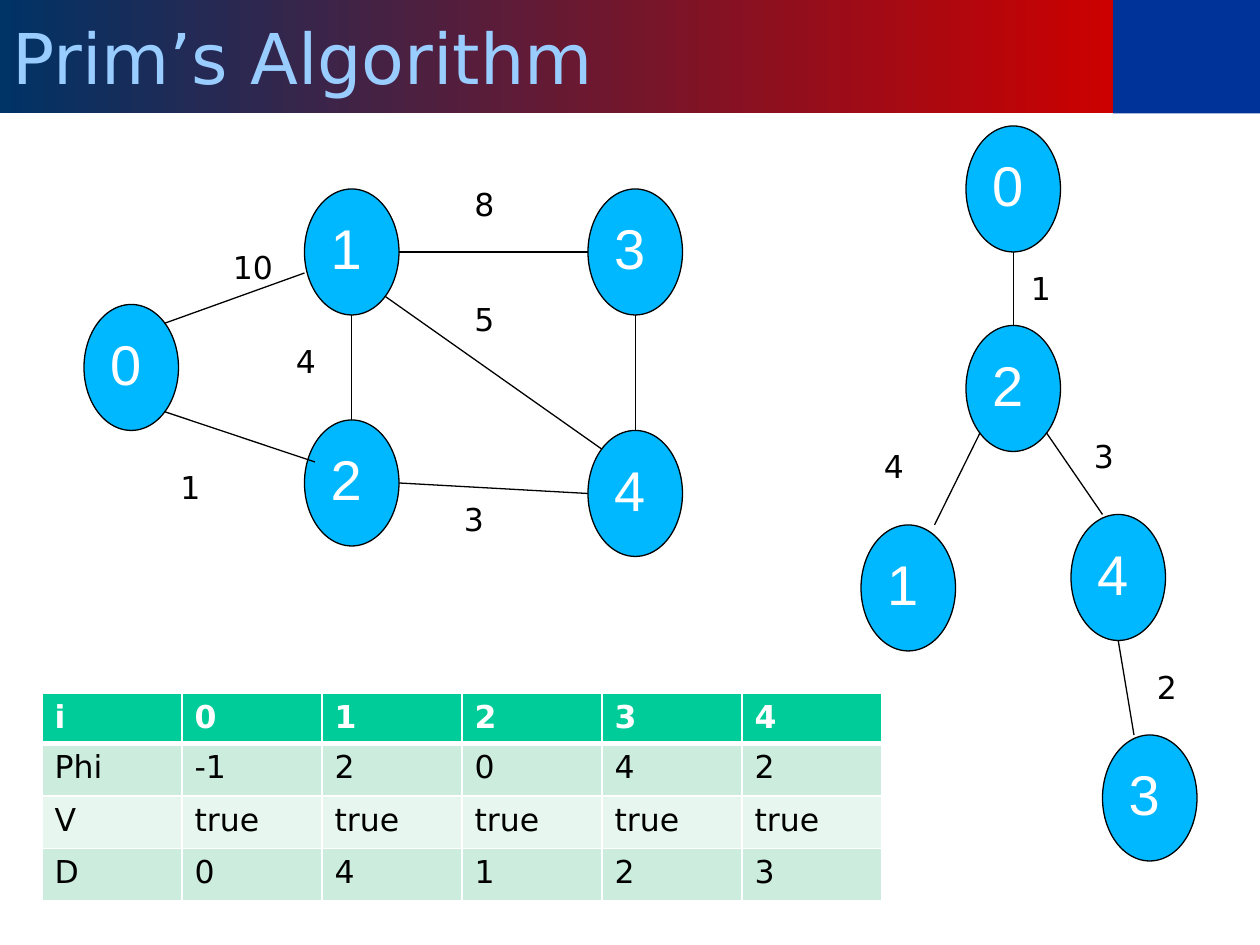
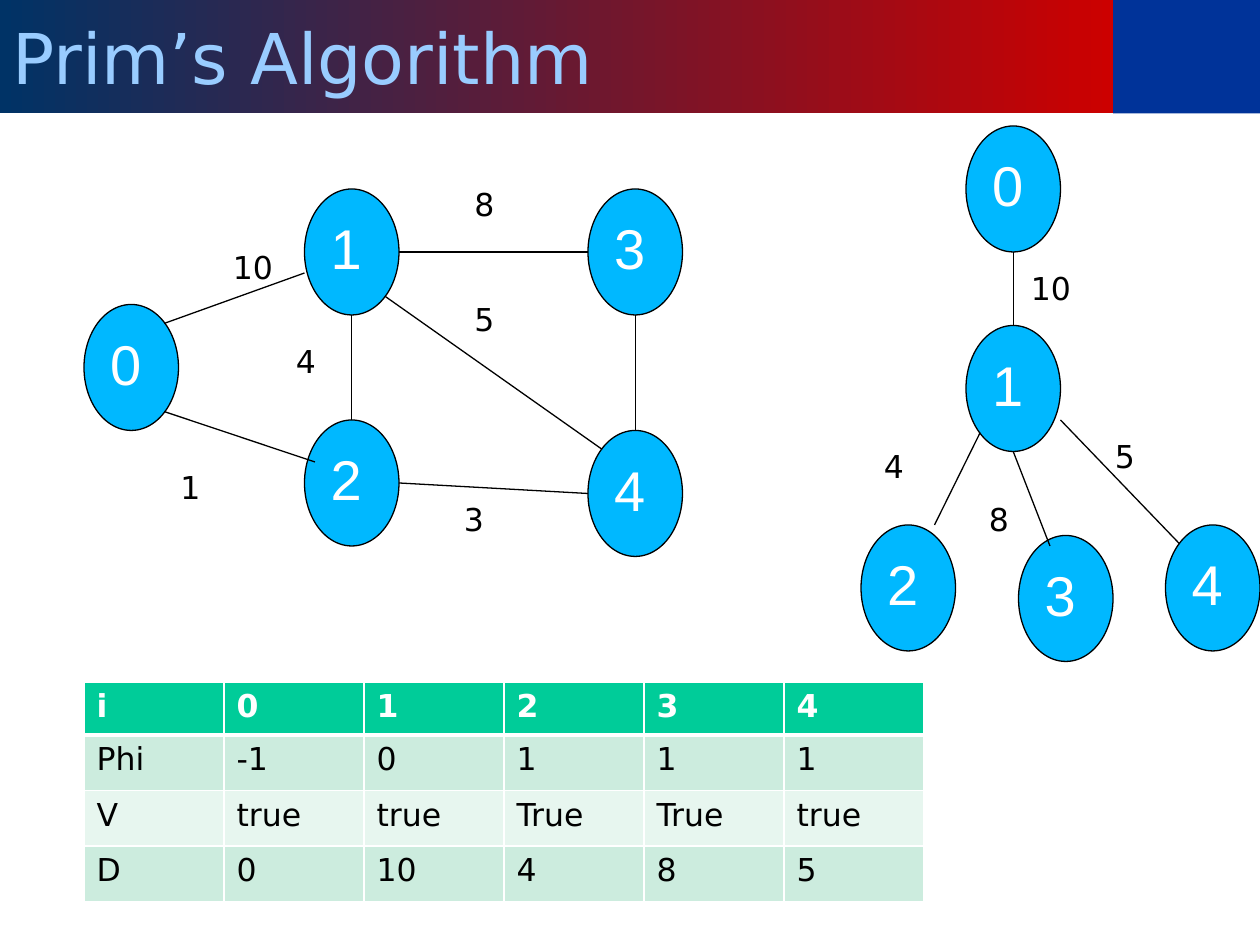
from lxml import etree
from pptx import Presentation
from pptx.dml.color import RGBColor
from pptx.enum.shapes import MSO_CONNECTOR, MSO_SHAPE
from pptx.enum.text import MSO_ANCHOR, PP_ALIGN
from pptx.oxml.ns import qn
from pptx.util import Inches, Pt

STRAIGHT = MSO_CONNECTOR.STRAIGHT
RECTANGLE, ELLIPSE = MSO_SHAPE.RECTANGLE, MSO_SHAPE.OVAL
TOP, MIDDLE = MSO_ANCHOR.TOP, MSO_ANCHOR.MIDDLE
LEFT = PP_ALIGN.LEFT

COLORS = {
    "white": "FFFFFF", "black": "000000", "corner": "003399",
    "band_start": "003366", "band_end": "CC0000", "title": "99CCFF",
    "node": "00B8FF", "header": "00CC99", "odd": "CCECDE", "even": "E7F6EF",
}
BODY_FONT, NODE_FONT = "DejaVu Sans", "Arial"
COLUMNS, ROWS = 120, 90
BAND_COLUMNS, BAND_ROWS = 106, 10.8
NODE_COLUMNS, NODE_ROWS = 9, 12
NARROW, WIDE = 4.3, 6.2
LABEL_ROWS = 4.8
TABLE_COLUMNS = 80

NEAR, MID, FAR = 0.15, 0.5, 0.85
SITES = {
    "n": (MID, 0), "s": (MID, 1), "w": (0, MID), "e": (1, MID),
    "nw": (NEAR, NEAR), "ne": (FAR, NEAR), "sw": (NEAR, FAR), "se": (FAR, FAR),
}

GRAPH = {
    "nodes": {"4": (56, 41), "3": (56, 18), "2": (29, 40), "1": (29, 18), "0": (8, 29)},
    "edges": [
        ("0 ne", (29, 26)), ("0 se", (30, 44)), ("1 s", "2 n"), ("1 se", "4 nw"),
        ("1 e", "3 w"), ("2 e", "4 w"), ("3 s", "4 n"),
    ],
    "labels": [
        ("10", 21, 23, WIDE), ("4", 27, 32, NARROW), ("5", 44, 28, WIDE),
        ("3", 43, 47, NARROW), ("1", 16, 44, NARROW), ("8", 44, 17, WIDE),
    ],
}
STEPS = [
    {
        "tree": {
            "nodes": {"0": (92, 12), "2": (92, 31), "1": (82, 50), "4": (102, 49), "3": (105, 70)},
            "edges": [("0 s", "2 n"), ("2 sw", (89, 50)), ("2 se", (105, 49)), ("4 s", (108, 70))],
            "labels": [
                ("1", 97, 25, NARROW), ("4", 83, 42, NARROW),
                ("3", 103, 41, NARROW), ("2", 109, 63, WIDE),
            ],
        },
        "table": {
            "column": 4, "row": 66, "heights": [4.7, 5, 5, 5],
            "values": [
                ["i", "0", "1", "2", "3", "4"],
                ["Phi", "-1", "2", "0", "4", "2"],
                ["V", "true", "true", "true", "true", "true"],
                ["D", "0", "4", "1", "2", "3"],
            ],
        },
    },
    {
        "tree": {
            "nodes": {"0": (92, 12), "1": (92, 31), "2": (82, 50), "4": (111, 50), "3": (97, 51)},
            "edges": [("0 s", "1 n"), ("1 sw", (89, 50)), ("1 s", (100, 52)), ((101, 40), "4 nw")],
            "labels": [
                ("10", 97, 25, WIDE), ("4", 83, 42, NARROW),
                ("5", 105, 41, NARROW), ("8", 93, 47, WIDE),
            ],
        },
        "table": {
            "column": 8, "row": 65, "heights": [5, 5.3, 5.3, 5.3],
            "values": [
                ["i", "0", "1", "2", "3", "4"],
                ["Phi", "-1", "0", "1", "1", "1"],
                ["V", "true", "true", "True", "True", "true"],
                ["D", "0", "10", "4", "8", "5"],
            ],
        },
    },
]


def rgb(name):
    return RGBColor.from_string(COLORS[name])


def write(frame, text, size=18, font=BODY_FONT, color="black", bold=False, anchor=TOP, wrap=True):
    frame.word_wrap = wrap
    frame.vertical_anchor = anchor
    paragraph = frame.paragraphs[0]
    paragraph.alignment = LEFT
    run = paragraph.add_run()
    run.text = text
    run.font.size = Pt(size)
    run.font.name = font
    run.font.bold = bold
    run.font.color.rgb = rgb(color)


def set_borders(cell, top, bottom):
    properties = cell._tc.get_or_add_tcPr()
    for side, width in (("L", 1), ("R", 1), ("T", top), ("B", bottom)):
        border = etree.SubElement(properties, qn(f"a:ln{side}"), w=str(Pt(width)))
        fill = etree.SubElement(border, qn("a:solidFill"))
        etree.SubElement(fill, qn("a:srgbClr"), val=COLORS["white"])


class Deck:
    def __init__(self):
        self.presentation = Presentation()
        self.presentation.slide_width = Inches(10)
        self.presentation.slide_height = Inches(7.5)
        self.slide = None

    def across(self, columns):
        return round(self.presentation.slide_width * columns / COLUMNS)

    def down(self, rows):
        return round(self.presentation.slide_height * rows / ROWS)

    def frame(self, column, row, columns, rows):
        return self.across(column), self.down(row), self.across(columns), self.down(rows)

    def add_slide(self, title):
        self.slide = self.presentation.slides.add_slide(self.presentation.slide_layouts[6])
        self.shape(RECTANGLE, BAND_COLUMNS, 0, COLUMNS - BAND_COLUMNS, BAND_ROWS, "corner")
        band = self.shape(RECTANGLE, 0, 0, BAND_COLUMNS, BAND_ROWS, "band_start")
        band.fill.gradient()
        band.fill.gradient_angle = 0
        for stop, color in zip(band.fill.gradient_stops, ("band_start", "band_end")):
            stop.color.rgb = rgb(color)
        write(band.text_frame, title, size=40, color="title", anchor=MIDDLE)

    def shape(self, kind, column, row, columns, rows, color, line=None):
        shape = self.slide.shapes.add_shape(kind, *self.frame(column, row, columns, rows))
        shape.shadow.inherit = False
        shape.fill.solid()
        shape.fill.fore_color.rgb = rgb(color)
        if line:
            shape.line.color.rgb = rgb(line)
            shape.line.width = Pt(0.75)
        else:
            shape.line.fill.background()
        return shape

    def node(self, text, column, row):
        shape = self.shape(ELLIPSE, column, row, NODE_COLUMNS, NODE_ROWS, "node", "black")
        write(shape.text_frame, text, size=32, font=NODE_FONT, color="white")

    def edge(self, start, end):
        points = [self.across(start[0]), self.down(start[1]), self.across(end[0]), self.down(end[1])]
        connector = self.slide.shapes.add_connector(STRAIGHT, *points)
        connector.line.color.rgb = rgb("black")
        connector.line.width = Pt(0.75)
        etree.SubElement(connector._element.spPr, qn("a:effectLst"))

    def label(self, text, column, row, columns):
        box = self.slide.shapes.add_textbox(*self.frame(column, row, columns, LABEL_ROWS))
        write(box.text_frame, text, wrap=columns == WIDE and len(text) == 1)

    def graph(self, nodes, edges, labels):
        def locate(end):
            if isinstance(end, tuple):
                return end
            name, site = end.split()
            column, row = nodes[name]
            share_x, share_y = SITES[site]
            return column + share_x * NODE_COLUMNS, row + share_y * NODE_ROWS

        for name, place in nodes.items():
            self.node(name, *place)
        for start, end in edges:
            self.edge(locate(start), locate(end))
        for label in labels:
            self.label(*label)

    def table(self, column, row, heights, values):
        place = self.frame(column, row, TABLE_COLUMNS, sum(heights))
        table = self.slide.shapes.add_table(len(values), len(values[0]), *place).table
        for table_column in table.columns:
            table_column.width = self.across(TABLE_COLUMNS / len(values[0]))
        for index, (height, texts) in enumerate(zip(heights, values)):
            table.rows[index].height = self.down(height)
            header = index == 0
            fill = "header" if header else "odd" if index % 2 else "even"
            for cell, text in zip(table.rows[index].cells, texts):
                set_borders(cell, top=3 if index == 1 else 1, bottom=3 if header else 1)
                cell.fill.solid()
                cell.fill.fore_color.rgb = rgb(fill)
                write(cell.text_frame, text, color="white" if header else "black", bold=header)


def main():
    deck = Deck()
    for step in STEPS:
        deck.add_slide("Prim’s Algorithm")
        deck.graph(**GRAPH)
        deck.graph(**step["tree"])
        deck.table(**step["table"])
    deck.presentation.save("out.pptx")


if __name__ == "__main__":
    main()
